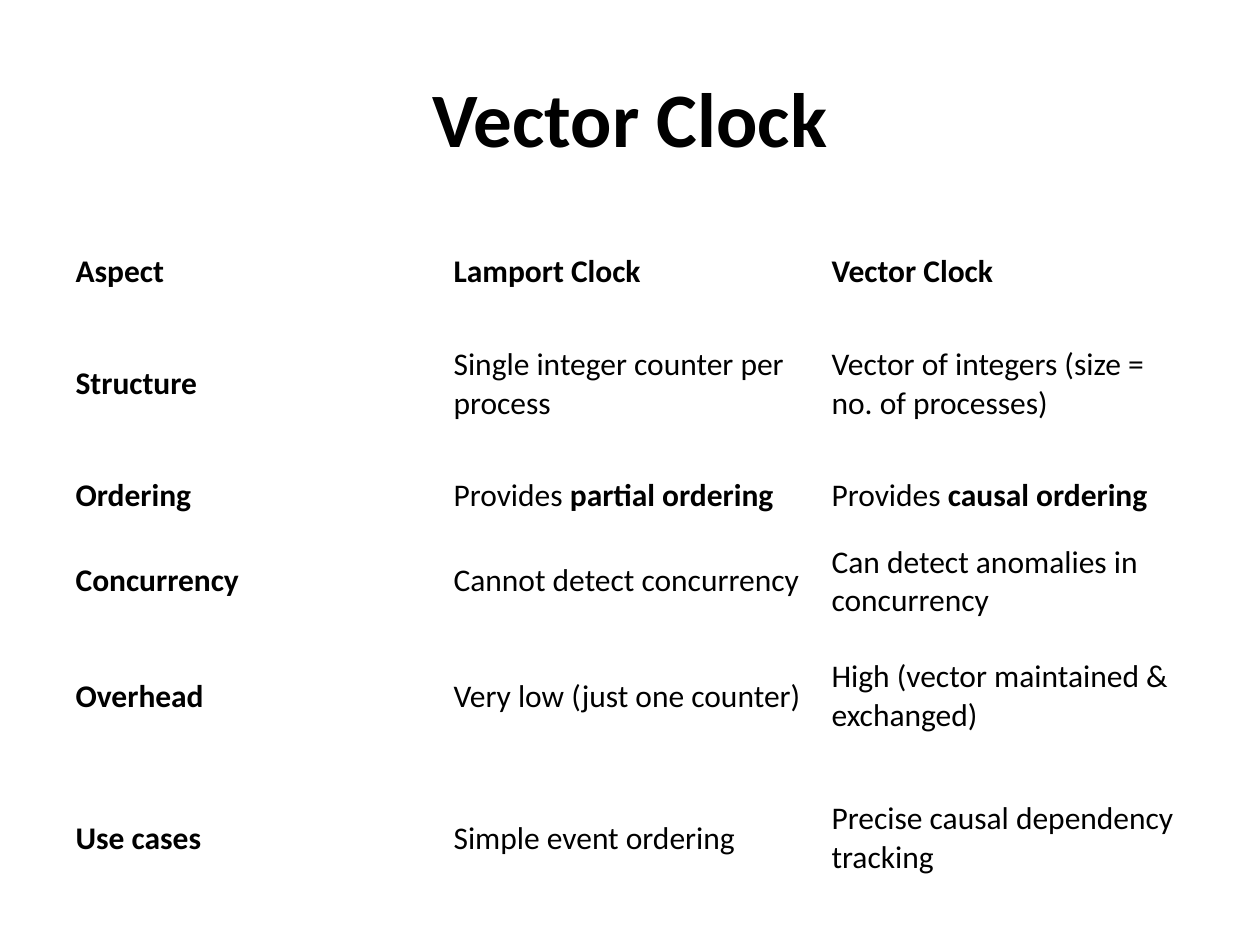
from pptx import Presentation
from pptx.dml.color import RGBColor as RGB
from pptx.enum.text import MSO_ANCHOR as Anchor, PP_ALIGN as Align
from pptx.util import Emu, Pt

THEME = {"font": "Calibri", "ink": RGB(0, 0, 0), "title": Pt(44), "body": Pt(18)}


def px(n):
    return Emu(round(n * 914400 / 126))


def write(p, text, size):
    """Add text to a paragraph; parts between asterisks are bold."""
    for i, part in enumerate(text.split("*")):
        if part:
            r = p.add_run()
            r.text = part
            fmt = {"name": THEME["font"], "size": size, "bold": i % 2 == 1}
            for key, value in fmt.items():
                setattr(r.font, key, value)
            r.font.color.rgb = THEME["ink"]


prs = Presentation()
prs.slide_width, prs.slide_height = px(1260), px(945)
s = prs.slides.add_slide(prs.slide_layouts[6])

# Title
tf = s.shapes.add_textbox(px(63), px(38), px(1134), px(158)).text_frame
tf.word_wrap = True
tf.vertical_anchor = Anchor.MIDDLE
p = tf.paragraphs[0]
p.alignment = Align.CENTER
write(p, "*Vector Clock*", THEME["title"])

# Comparison table: row height in px, then the cells
SHORT, TALL = 82, 142
rows = [
    (SHORT, "*Aspect*", "*Lamport Clock*", "*Vector Clock*"),
    (TALL, "*Structure*", "Single integer counter per process",
     "Vector of integers (size = no. of processes)"),
    (SHORT, "*Ordering*", "Provides *partial ordering*", "Provides *causal ordering*"),
    (SHORT, "*Concurrency*", "Cannot detect concurrency",
     "Can detect anomalies in concurrency"),
    (TALL, "*Overhead*", "Very low (just one counter)",
     "High (vector maintained & exchanged)"),
    (TALL, "*Use cases*", "Simple event ordering", "Precise causal dependency tracking"),
]
height = sum(row[0] for row in rows)
table = s.shapes.add_table(len(rows), 3, px(63), px(231), px(1134), px(height)).table
table.first_row = table.horz_banding = False
for col in table.columns:
    col.width = px(378)
for i, (row_height, *texts) in enumerate(rows):
    table.rows[i].height = px(row_height)
    for j, text in enumerate(texts):
        cell = table.cell(i, j)
        cell.fill.background()
        cell.vertical_anchor = Anchor.MIDDLE
        write(cell.text_frame.paragraphs[0], text, THEME["body"])

prs.save("out.pptx")
